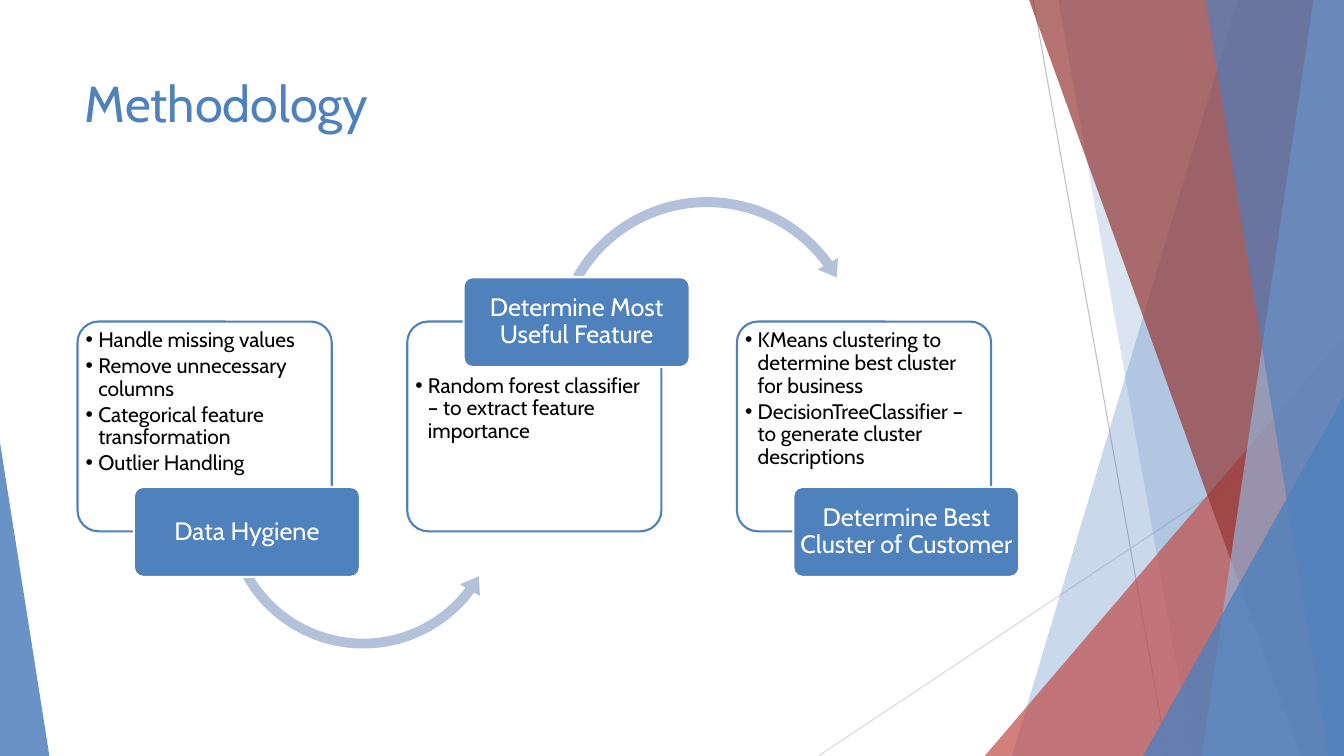
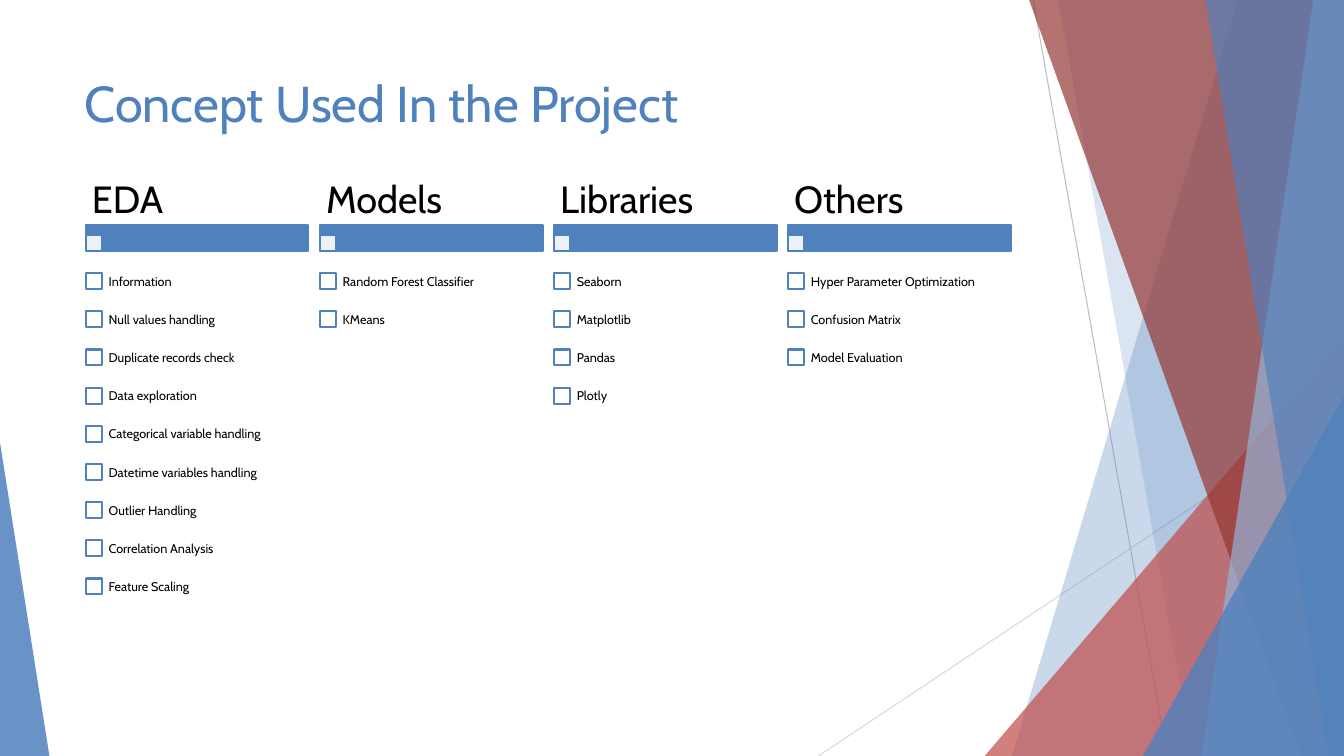
from dataclasses import dataclass

from lxml import etree
from pptx import Presentation
from pptx.dml.color import RGBColor
from pptx.enum.shapes import MSO_CONNECTOR, MSO_SHAPE
from pptx.enum.text import MSO_ANCHOR, MSO_AUTO_SIZE, PP_ALIGN
from pptx.oxml.ns import qn
from pptx.shapes.autoshape import Shape
from pptx.slide import Slide, SlideLayout
from pptx.text.text import TextFrame
from pptx.util import Length, Pt

RECT = MSO_SHAPE.RECTANGLE
ROUNDED = MSO_SHAPE.ROUNDED_RECTANGLE
TRIANGLE = MSO_SHAPE.ISOSCELES_TRIANGLE
ARC_OVER = MSO_SHAPE.CIRCULAR_ARROW
ARC_UNDER = MSO_SHAPE.LEFT_CIRCULAR_ARROW
STRAIGHT = MSO_CONNECTOR.STRAIGHT
TOP, MIDDLE = MSO_ANCHOR.TOP, MSO_ANCHOR.MIDDLE
LEFT, CENTER = PP_ALIGN.LEFT, PP_ALIGN.CENTER
NO_FIT = MSO_AUTO_SIZE.NONE

WIDTH, HEIGHT = 960, 540
COMPARISON_LAYOUT = 4
BODY_INDEXES = (1, 2, 3, 4)


@dataclass(frozen=True)
class Theme:
    font: str = "Cabin"
    blue: str = "4F81BD"
    pale_blue: str = "95B3D7"
    arrow: str = "B3C1DB"
    red: str = "C0504D"
    dark_red: str = "953735"
    white: str = "FFFFFF"
    black: str = "000000"
    grey: str = "BFBFBF"
    light_grey: str = "D9D9D9"
    title_size: float = 36
    heading_size: float = 27
    label_size: float = 18
    bullet_size: float = 15
    item_size: float = 9
    outline: float = 1.5
    hairline: float = 0.75


THEME = Theme()


@dataclass(frozen=True)
class Box:
    left: float
    top: float
    width: float
    height: float

    def lengths(self) -> tuple[Length, ...]:
        return Pt(self.left), Pt(self.top), Pt(self.width), Pt(self.height)


@dataclass(frozen=True)
class Ray:
    start: tuple[float, float]
    end: tuple[float, float]
    color: str


@dataclass(frozen=True)
class Facet:
    top_x: float
    bottom_x: float
    color: str
    opacity: int


@dataclass(frozen=True)
class Wedge:
    box: Box
    apex: float
    color: str
    opacity: int


@dataclass(frozen=True)
class Arc:
    preset: MSO_SHAPE
    box: Box
    thickness: float
    head_angle: float
    end_angle: float
    start_angle: float
    head_width: float


@dataclass(frozen=True)
class Step:
    label: str
    points: tuple[str, ...]
    label_on_top: bool = False
    arc: Arc | None = None


@dataclass(frozen=True)
class Concept:
    heading: str
    items: tuple[str, ...]


RAYS = (
    Ray((738, 0), (833.8, HEIGHT), THEME.grey),
    Ray((WIDTH, 290.2), (584.6, HEIGHT), THEME.light_grey),
)
PANES = (
    Facet(884.2, 722.9, THEME.blue, 30),
    Facet(756, 851.8, THEME.blue, 20),
    Wedge(Box(703.4, 239.8, 256.6, 300.2), 1, THEME.red, 72),
    Facet(735.1, 929.5, THEME.dark_red, 70),
    Facet(938.2, 858.2, THEME.pale_blue, 70),
    Facet(861.1, 949, THEME.blue, 65),
    Wedge(Box(816.5, 283, 143.5, 257), 1, THEME.blue, 80),
    Wedge(Box(0, 316.1, 35.3, 223.9), 0, THEME.blue, 85),
)
STEPS = (
    Step(
        "Data Hygiene",
        ("Handle missing values", "Remove unnecessary columns",
         "Categorical feature transformation", "Outlier Handling"),
        arc=Arc(ARC_UNDER, Box(156.2, 261.4, 206.6, 206.6), 3.4, 7.1, 36.7, 150.4, 4),
    ),
    Step(
        "Determine Most Useful Feature",
        ("Random forest classifier – to extract feature importance",),
        label_on_top=True,
        arc=Arc(ARC_OVER, Box(390.2, 136.1, 229.7, 229.7), 3.1, 6.3, 324.1, 209.6, 3.6),
    ),
    Step(
        "Determine Best Cluster of Customer",
        ("KMeans clustering to determine best cluster for business",
         "DecisionTreeClassifier – to generate cluster descriptions"),
    ),
)
CONCEPTS = (
    Concept("EDA", (
        "Information", "Null values handling", "Duplicate records check",
        "Data exploration", "Categorical variable handling",
        "Datetime variables handling", "Outlier Handling",
        "Correlation Analysis", "Feature Scaling")),
    Concept("Models", ("Random Forest Classifier", "KMeans")),
    Concept("Libraries", ("Seaborn", "Matplotlib", "Pandas", "Plotly")),
    Concept("Others", (
        "Hyper Parameter Optimization", "Confusion Matrix", "Model Evaluation")),
)


def paint(shape: Shape, fill: str, opacity: int = 100, line: str | None = None) -> None:
    shape.shadow.inherit = False
    shape.fill.solid()
    shape.fill.fore_color.rgb = RGBColor.from_string(fill)
    if opacity < 100:
        tint = next(shape.element.iter(qn("a:srgbClr")))
        etree.SubElement(tint, qn("a:alpha"), val=str(opacity * 1000))
    if line is None:
        shape.line.fill.background()
    else:
        shape.line.color.rgb = RGBColor.from_string(line)
        shape.line.width = Pt(THEME.outline)


def add_panel(slide: Slide, preset: MSO_SHAPE, box: Box, fill: str,
              opacity: int = 100, line: str | None = None) -> Shape:
    panel = slide.shapes.add_shape(preset, *box.lengths())
    paint(panel, fill, opacity, line)
    return panel


def format_text(frame: TextFrame, size: float, color: str, align: PP_ALIGN = LEFT,
                anchor: MSO_ANCHOR = MIDDLE, inset: tuple[float, float] = (0, 0),
                spacing: float | Length = 0.9, after: float = 0) -> None:
    frame.word_wrap = True
    frame.auto_size = NO_FIT
    frame.vertical_anchor = anchor
    frame.margin_left = frame.margin_right = Pt(inset[0])
    frame.margin_top = frame.margin_bottom = Pt(inset[1])
    for paragraph in frame.paragraphs:
        paragraph.alignment = align
        paragraph.line_spacing = spacing
        paragraph.space_before = Pt(0)
        paragraph.space_after = Pt(after)
        for run in paragraph.runs:
            run.font.name = THEME.font
            run.font.size = Pt(size)
            run.font.bold = False
            run.font.color.rgb = RGBColor.from_string(color)


def set_bullets(frame: TextFrame, indent: float = 0, mark: str = "") -> None:
    for paragraph in frame.paragraphs:
        properties = paragraph._p.get_or_add_pPr()
        properties.set("marL", str(Pt(indent)))
        properties.set("indent", str(-Pt(indent)))
        if mark:
            etree.SubElement(properties, qn("a:buChar"), char=mark)
        else:
            etree.SubElement(properties, qn("a:buNone"))


def fill_body(slide: Slide, index: int, box: Box, lines: tuple[str, ...]) -> TextFrame:
    body = slide.placeholders[index]
    body.left, body.top, body.width, body.height = box.lengths()
    body.text_frame.text = "\n".join(lines)
    slide.shapes.element.append(body.element)
    return body.text_frame


def add_backdrop(slide: Slide, layout: SlideLayout) -> None:
    for ray in RAYS:
        line = slide.shapes.add_connector(STRAIGHT, *map(Pt, ray.start + ray.end))
        line.line.color.rgb = RGBColor.from_string(ray.color)
        line.line.width = Pt(THEME.hairline)
        etree.SubElement(line.element.spPr, qn("a:effectLst"))
    for pane in PANES:
        if isinstance(pane, Wedge):
            wedge = add_panel(slide, TRIANGLE, pane.box, pane.color, pane.opacity)
            wedge.adjustments[0] = pane.apex
        else:
            outline = slide.shapes.build_freeform(Pt(pane.top_x), Pt(0))
            corners = ((WIDTH, 0), (WIDTH, HEIGHT), (pane.bottom_x, HEIGHT))
            outline.add_line_segments([(Pt(x), Pt(y)) for x, y in corners])
            paint(outline.convert_to_shape(), pane.color, pane.opacity)
    drawn = [shape for shape in slide.shapes if not shape.is_placeholder]
    for order, shape in enumerate(drawn):
        next(shape.element.iter(qn("p:cNvPr"))).set("id", str(100 + order))
        layout.shapes.element.insert(2 + order, shape.element)


def add_titled_slide(deck: Presentation, layout: SlideLayout, title: str) -> Slide:
    slide = deck.slides.add_slide(layout)
    heading = slide.shapes.title
    heading.left, heading.top, heading.width, heading.height = Box(
        53.3, 48.2, 676.8, 103.7).lengths()
    heading.text_frame.text = title
    format_text(heading.text_frame, THEME.title_size, THEME.blue,
                anchor=TOP, inset=(7.2, 3.6), spacing=1.0)
    return slide


def add_arc(slide: Slide, arc: Arc) -> None:
    arrow = add_panel(slide, arc.preset, arc.box, THEME.arrow)
    values = (arc.thickness / 100, arc.head_angle * 0.6, arc.end_angle * 0.6,
              arc.start_angle * 0.6, arc.head_width / 100)
    for position, value in enumerate(values):
        arrow.adjustments[position] = value


def add_step(slide: Slide, position: int, step: Step) -> None:
    left, top = 55.4 + 235.5 * position, 229.7
    card = add_panel(slide, ROUNDED, Box(left, top, 181.6, 149.8),
                     THEME.white, 90, THEME.blue)
    card.adjustments[0] = 0.1
    list_top = top + (36 if step.label_on_top else 3.6)
    points = fill_body(slide, BODY_INDEXES[position],
                       Box(left + 3.6, list_top, 175, 110.9), step.points)
    format_text(points, THEME.bullet_size, THEME.black, anchor=TOP,
                inset=(2.2, 2.2), after=2.25)
    set_bullets(points, 9, "•")
    if step.arc:
        add_arc(slide, step.arc)
    label_top = 198 if step.label_on_top else 347.8
    label = add_panel(slide, ROUNDED, Box(left + 40.3, label_top, 161.4, 64.2),
                      THEME.blue, line=THEME.white)
    label.adjustments[0] = 0.1
    label.text_frame.text = step.label
    format_text(label.text_frame, THEME.label_size, THEME.white, CENTER, inset=(3, 3))


def add_concept(slide: Slide, position: int, concept: Concept) -> None:
    left, square, pitch, first_middle = 61.2 + 167.2 * position, 11.4, 27.27, 200.8
    add_panel(slide, RECT, Box(left, 160.6, 159.1, 18.7), THEME.blue, line=THEME.blue)
    add_panel(slide, RECT, Box(left, 167.8, square, square), THEME.white, 90, THEME.blue)
    heading = slide.shapes.add_textbox(*Box(left, 126.7, 159.1, 33.8).lengths())
    heading.text_frame.text = concept.heading
    format_text(heading.text_frame, THEME.heading_size, THEME.black, inset=(4.5, 2.9))
    for row in range(len(concept.items)):
        middle = first_middle + pitch * row
        add_panel(slide, RECT, Box(left, middle - square / 2, square, square),
                  THEME.white, line=THEME.blue)
    items = fill_body(slide, BODY_INDEXES[position],
                      Box(left + 16.4, 179, 142.7, pitch * len(concept.items)),
                      concept.items)
    format_text(items, THEME.item_size, THEME.black, anchor=TOP, spacing=Pt(pitch))
    set_bullets(items)


def main() -> None:
    deck = Presentation()
    deck.slide_width, deck.slide_height = Pt(WIDTH), Pt(HEIGHT)
    layout = deck.slide_layouts[COMPARISON_LAYOUT]

    methodology = add_titled_slide(deck, layout, "Methodology")
    add_backdrop(methodology, layout)
    for position, step in enumerate(STEPS):
        add_step(methodology, position, step)
    for index in BODY_INDEXES[len(STEPS):]:
        unused = methodology.placeholders[index].element
        unused.getparent().remove(unused)

    concepts = add_titled_slide(deck, layout, "Concept Used In the Project")
    for position, concept in enumerate(CONCEPTS):
        add_concept(concepts, position, concept)

    deck.save("out.pptx")


if __name__ == "__main__":
    main()
